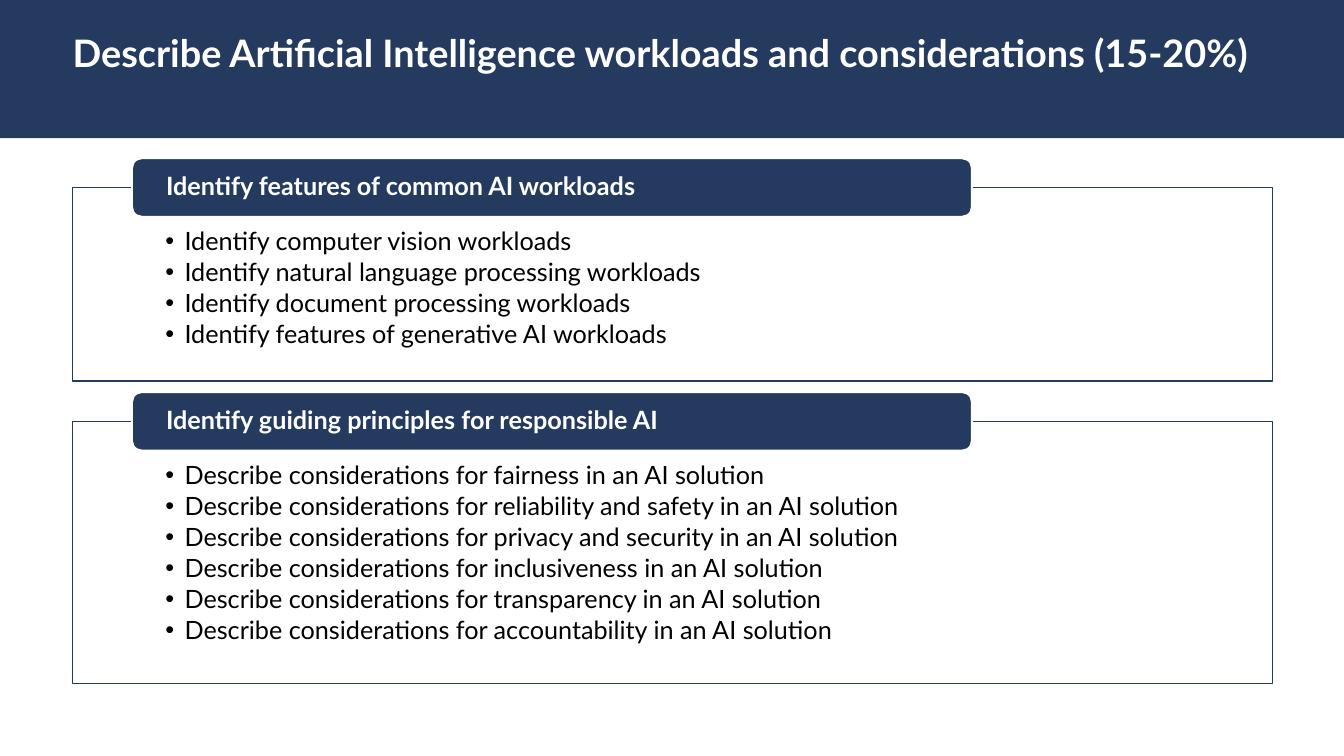
from dataclasses import dataclass

from lxml import etree
from pptx import Presentation
from pptx.dml.color import RGBColor
from pptx.enum import shapes, text
from pptx.oxml import ns
from pptx.util import Inches, Pt

COLORS = {"navy": "243A5E", "white": "FFFFFF", "black": "000000"}
FONT = "Lato"
LEFT, WIDTH = 0.72, 11.9
HEADING_HEIGHT = 0.58
HEADING_RISE = 0.29


@dataclass
class Topic:
    heading: str
    skills: list[str]
    top: float
    height: float


TOPICS = [
    Topic("Identify features of common AI workloads",
          ["Identify computer vision workloads",
           "Identify natural language processing workloads",
           "Identify document processing workloads",
           "Identify features of generative AI workloads"],
          1.86, 1.92),
    Topic("Identify guiding principles for responsible AI",
          [f"Describe considerations for {principle} in an AI solution"
           for principle in ("fairness", "reliability and safety",
                             "privacy and security", "inclusiveness",
                             "transparency", "accountability")],
          4.18, 2.6),
]


def color(name: str) -> RGBColor:
    return RGBColor.from_string(COLORS[name])


def place(shape, left: float, top: float, width: float, height: float) -> None:
    shape.left, shape.top = Inches(left), Inches(top)
    shape.width, shape.height = Inches(width), Inches(height)


def paint(shape, fill: str, line: str, line_width: float) -> None:
    shape.fill.solid()
    shape.fill.fore_color.rgb = color(fill)
    shape.line.color.rgb = color(line)
    shape.line.width = Pt(line_width)


def set_frame(frame, side: float, top: float, bottom: float, anchor) -> None:
    frame.margin_left = frame.margin_right = Inches(side)
    frame.margin_top, frame.margin_bottom = Inches(top), Inches(bottom)
    frame.vertical_anchor = anchor
    frame.word_wrap = True
    frame.auto_size = text.MSO_AUTO_SIZE.NONE


def format_paragraph(paragraph, size: float, ink: str, bold: bool,
                     after: float = 0) -> None:
    paragraph.alignment = text.PP_ALIGN.LEFT
    paragraph.line_spacing = 0.9
    paragraph.space_before = Pt(0)
    paragraph.space_after = Pt(after)
    font = paragraph.font
    font.name, font.size, font.bold = FONT, Pt(size), bold
    font.color.rgb = color(ink)


def add_bullet(paragraph) -> None:
    properties = paragraph._p.get_or_add_pPr()
    properties.set("marL", str(Inches(0.19)))
    properties.set("indent", str(-Inches(0.19)))
    etree.SubElement(properties, ns.qn("a:buFont"), typeface="Arial")
    etree.SubElement(properties, ns.qn("a:buChar"), char="•")


def draw_topic(slide, panel, topic: Topic) -> None:
    # Framed panel with the list of skills
    place(panel, LEFT, topic.top, WIDTH, topic.height)
    paint(panel, "white", "navy", 0.85)
    fill_color = panel._element.spPr.find(".//" + ns.qn("a:srgbClr"))
    etree.SubElement(fill_color, ns.qn("a:alpha"), val="90000")
    frame = panel.text_frame
    set_frame(frame, 0.92, 0.41, 0.14, text.MSO_ANCHOR.TOP)
    frame.text = "\n".join(topic.skills)
    for paragraph in frame.paragraphs:
        add_bullet(paragraph)
        format_paragraph(paragraph, 18, "black", False, after=2.7)

    # Heading that overlaps the top edge of the panel
    heading = slide.shapes.add_shape(
        shapes.MSO_SHAPE.ROUNDED_RECTANGLE, Inches(1.31),
        Inches(topic.top - HEADING_RISE), Inches(8.33), Inches(HEADING_HEIGHT))
    heading.shadow.inherit = False
    paint(heading, "navy", "white", 1.35)
    set_frame(heading.text_frame, 0.31, 0, 0, text.MSO_ANCHOR.MIDDLE)
    heading.text_frame.text = topic.heading
    format_paragraph(heading.text_frame.paragraphs[0], 18, "white", True)


def main() -> None:
    deck = Presentation()
    deck.slide_width, deck.slide_height = Inches(13.33), Inches(7.5)
    slide = deck.slides.add_slide(deck.slide_layouts.get_by_name("Two Content"))
    title, *panels = slide.placeholders

    # Title band, moved behind the placeholders
    band = slide.shapes.add_shape(shapes.MSO_SHAPE.RECTANGLE, 0, 0,
                                  deck.slide_width, Inches(1.37))
    band.shadow.inherit = False
    band.fill.solid()
    band.fill.fore_color.rgb = color("navy")
    band.line.fill.background()
    title._element.addprevious(band._element)

    # Title
    place(title, LEFT, 0.35, WIDTH, 0.5)
    set_frame(title.text_frame, 0, 0, 0, text.MSO_ANCHOR.TOP)
    title.text_frame.text = ("Describe Artificial Intelligence workloads "
                             "and considerations (15-20%)")
    format_paragraph(title.text_frame.paragraphs[0], 27, "white", True)

    # Topics
    for panel, topic in zip(panels, TOPICS):
        draw_topic(slide, panel, topic)

    deck.save("out.pptx")


if __name__ == "__main__":
    main()
